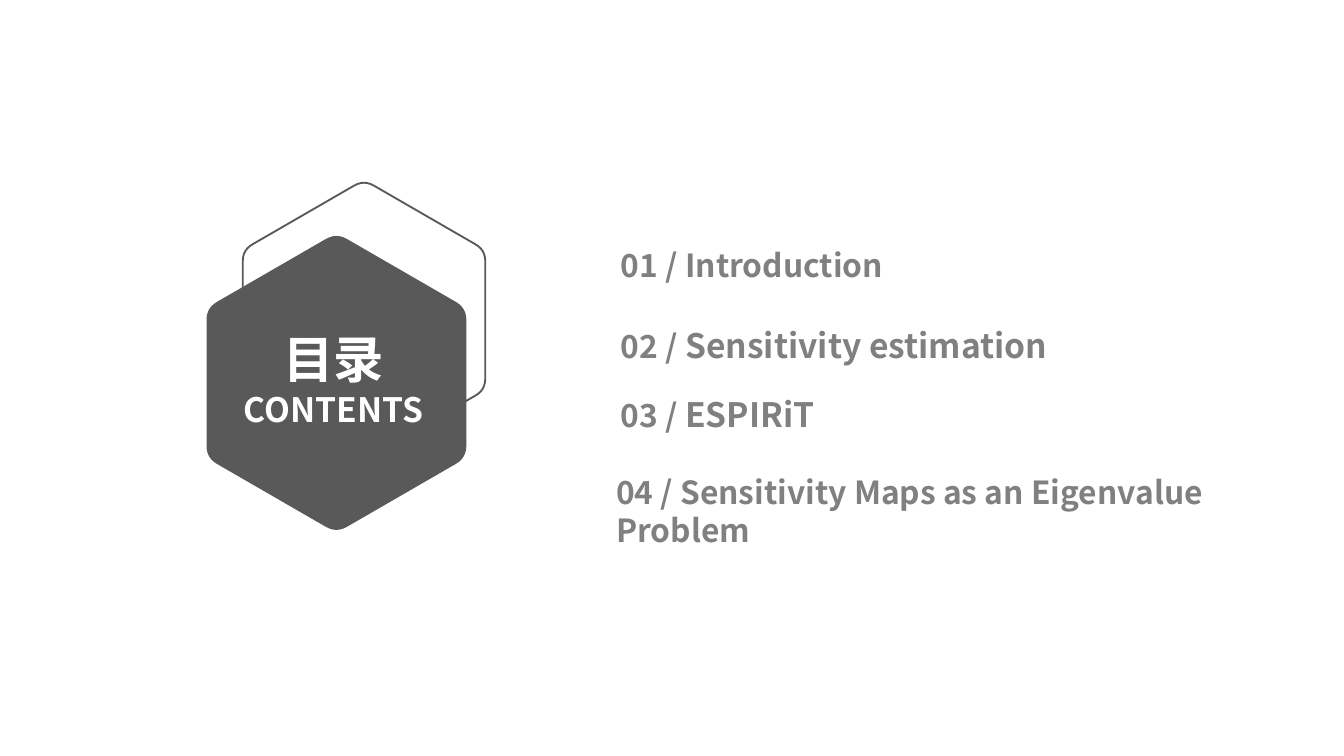
from math import cos, radians, sin

from lxml.etree import SubElement
from pptx import Presentation
from pptx.dml.color import RGBColor
from pptx.enum.text import MSO_ANCHOR as Anchor, MSO_AUTO_SIZE as AutoSize, PP_ALIGN as Align
from pptx.oxml.ns import qn
from pptx.util import Emu, Pt

SCALE = 914400 / 134.4
FONT = "Noto Sans CJK SC"
DARK, GREY, WHITE = "595959", "808080", "FFFFFF"
AGENDA = [
    (0, 5, [("01 / Introduction", 17)]),
    (43, 5, [("02 / ", 17), ("Sensitivity estimation", 18)]),
    (31, 5, [("03 / ", 17), ("ESPIRiT", 18)]),
    (39, 0, [("04 / Sensitivity Maps as an Eigenvalue Problem", 17)]),
]


def px(pixels):
    """Turn pixels into EMU."""
    return Emu(round(pixels * SCALE))


def color(hex_string):
    """Turn a hex string into a colour."""
    return RGBColor.from_string(hex_string)


def apply(target, values):
    """Set attributes from a dict of format values."""
    for attribute, value in values.items():
        setattr(target, attribute, value)


def rounded_hexagon(center_x, center_y, radius, rounding=0.08, steps=6):
    """Return the points of an upright hexagon with rounded corners."""
    corners = [(center_x + radius * sin(radians(turn)), center_y - radius * cos(radians(turn)))
               for turn in range(0, 360, 60)]
    points = []
    for index, corner in enumerate(corners):
        before, after = corners[index - 1], corners[(index + 1) % 6]
        start, end = ([c + (n - c) * rounding for c, n in zip(corner, neighbour)]
                      for neighbour in (before, after))
        for t in (step / steps for step in range(steps + 1)):
            points.append(tuple(px((1 - t) ** 2 * s + 2 * t * (1 - t) * c + t * t * e)
                                for s, c, e in zip(start, corner, end)))
    return points


def add_hexagon(slide, center_x, center_y, radius, fill=None, line=None):
    """Add a rounded hexagon with a fill or an outline."""
    first, *others = rounded_hexagon(center_x, center_y, radius)
    builder = slide.shapes.build_freeform(*first, scale=1.0)
    builder.add_line_segments(others, close=True)
    hexagon = builder.convert_to_shape()
    hexagon.shadow.inherit = False
    for part, shade in ((hexagon.fill, fill), (hexagon.line.fill, line)):
        if shade:
            part.solid()
            part.fore_color.rgb = color(shade)
        else:
            part.background()
    if line:
        hexagon.line.width = Pt(1)


def place(placeholder, box, inset_x):
    """Move a placeholder and return its emptied text frame."""
    apply(placeholder, dict(zip(("left", "top", "width", "height"), map(px, box))))
    frame = placeholder.text_frame
    apply(frame, {
        "word_wrap": True, "auto_size": AutoSize.NONE, "vertical_anchor": Anchor.TOP,
        "margin_left": px(inset_x), "margin_right": px(inset_x),
        "margin_top": px(5), "margin_bottom": px(5),
    })
    return frame


def add_paragraph(frame, index, runs, shade, layout):
    """Write one formatted paragraph and return it."""
    paragraph = frame.add_paragraph() if index else frame.paragraphs[0]
    apply(paragraph, layout)
    for words, size in runs:
        run = paragraph.add_run()
        run.text = words
        apply(run.font, {"size": Pt(size), "bold": True, "name": FONT})
        run.font.color.rgb = color(shade)
        SubElement(run.font._element, qn("a:ea"), typeface=FONT)
    return paragraph


def add_heading(slide):
    """Write the bilingual heading in front of the hexagons."""
    heading = slide.shapes.title
    frame = place(heading, (211, 323, 245, 112), 9)
    for index, run in enumerate([("目录", 27), ("CONTENTS", 18)]):
        add_paragraph(frame, index, [run], WHITE, {"alignment": Align.CENTER})
    slide.shapes._spTree.append(heading._element)


def add_agenda(slide):
    """Write the agenda as one list without bullets."""
    frame = place(slide.placeholders[1], (603, 241, 672, 315), 13)
    for index, (gap, indent, runs) in enumerate(AGENDA):
        paragraph = add_paragraph(frame, index, runs, GREY, {
            "alignment": Align.LEFT, "line_spacing": px(38), "space_before": px(gap)})
        properties = paragraph._p.get_or_add_pPr()
        properties.set("marL", str(px(indent)))
        properties.set("indent", "0")
        SubElement(properties, qn("a:buNone"))


def main():
    """Build the contents slide."""
    deck = Presentation()
    apply(deck, {"slide_width": px(1344), "slide_height": px(756)})
    slide = deck.slides.add_slide(deck.slide_layouts[1])
    add_hexagon(slide, 364, 320, 140, line=DARK)
    add_hexagon(slide, 336.5, 383, 150, fill=DARK)
    add_heading(slide)
    add_agenda(slide)
    deck.save("out.pptx")


main()
